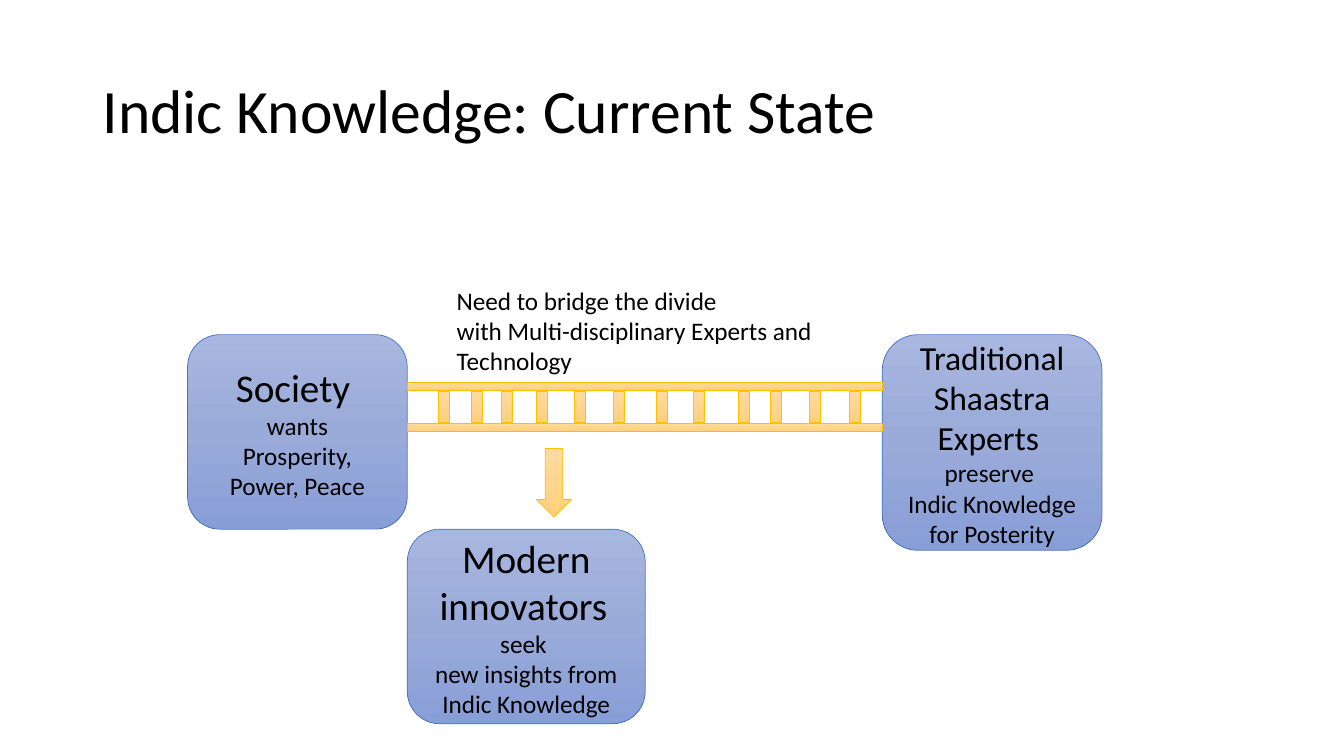
from copy import deepcopy

from pptx import Presentation
from pptx.dml.color import RGBColor
from pptx.enum.shapes import MSO_SHAPE as Preset
from pptx.enum.text import MSO_ANCHOR as Anchor, MSO_AUTO_SIZE as AutoSize, PP_ALIGN as Align
from pptx.oxml.ns import qn
from pptx.util import Inches, Pt

COLORS = {
    "text": "000000",
    "blue": ("A8B7DF", "9AABD9", "889ED7"),
    "blue line": "4472C4",
    "gold": ("FFDB9E", "FFD590", "FFD07C"),
    "gold line": "FFC000",
}
CELL = Inches(0.1)

# Columns and rows of the grid
BRIDGE_LEFT, BRIDGE_WIDTH = 40.4, 47.1
RAIL_ROWS = (37.9, 42)
RUNG_COLUMNS = (43.5, 46.7, 49.7, 53.2, 57, 60.8, 65.1, 68.8, 73.2, 76.4, 80.3, 84.2)

# Area, then paragraphs as lists of (wording, size)
GROUPS = (
    ((18.6, 33.2, 21.8, 19.3),
     [[("Society ", 28)], [("wants", 18)], [("Prosperity, Power, Peace", 18)]]),
    ((87.5, 33.2, 21.8, 21.4),
     [[("Traditional Shaastra Experts ", 24)], [("preserve ", 18)],
      [("Indic Knowledge for Posterity", 18)]]),
    ((40.4, 52.5, 23.6, 19.3),
     [[("Modern innovators", 28), (" ", 18)], [("seek ", 18)],
      [("new insights from Indic Knowledge", 18)]]),
)


class Board:
    """Draws on one slide in grid cells, with one shared style."""

    font = "Calibri"

    def __init__(self, deck):
        self.page = deck.slides.add_slide(deck.slide_layouts[6])

    def place(self, area):
        return [round(length * CELL) for length in area]

    def fill_text(self, box, paragraphs, format_values, align=Align.LEFT, spacing=1.0):
        frame = box.text_frame
        for name, value in format_values.items():
            setattr(frame, name, value)
        for index, spans in enumerate(paragraphs):
            para = frame.add_paragraph() if index else frame.paragraphs[0]
            para.alignment, para.line_spacing = align, spacing
            for wording, size in spans:
                for number, line in enumerate(wording.split("\n")):
                    if number:
                        para.add_line_break()
                    span = para.add_run()
                    span.text = line
                    for name, value in {"name": self.font, "size": Pt(size)}.items():
                        setattr(span.font, name, value)
                    span.font.color.rgb = RGBColor.from_string(COLORS["text"])

    def text(self, area, paragraphs, format_values, spacing=1.0):
        box = self.page.shapes.add_textbox(*self.place(area))
        self.fill_text(box, paragraphs, format_values, spacing=spacing)

    def shape(self, preset, area, color):
        shape = self.page.shapes.add_shape(preset, *self.place(area))
        shape.shadow.inherit = False
        shape.line.width = Pt(0.5)
        shape.line.color.rgb = RGBColor.from_string(COLORS[f"{color} line"])
        self.shade(shape, COLORS[color])
        return shape

    def shade(self, shape, shades):
        """Fill from top to bottom with three evenly spaced shades."""
        shape.fill.gradient()
        shape.fill.gradient_angle = 270
        stop_list = shape.element.spPr.find(qn("a:gradFill")).find(qn("a:gsLst"))
        stop_list.insert(1, deepcopy(stop_list[0]))
        for index, (stop, shade) in enumerate(zip(shape.fill.gradient_stops, shades)):
            stop.position = index / 2
            stop.color.rgb = RGBColor.from_string(shade)

    def group(self, area, paragraphs):
        box = self.shape(Preset.ROUNDED_RECTANGLE, area, "blue")
        self.fill_text(box, paragraphs,
                       {"word_wrap": True, "vertical_anchor": Anchor.MIDDLE}, Align.CENTER)

    def bridge(self):
        for row in RAIL_ROWS:
            self.shape(Preset.RECTANGLE, (BRIDGE_LEFT, row, BRIDGE_WIDTH, 0.8), "gold")
        for column in RUNG_COLUMNS:
            self.shape(Preset.RECTANGLE, (column, 38.8, 1.1, 3.1), "gold")


def main():
    deck = Presentation()
    deck.slide_width, deck.slide_height = Inches(13.33), Inches(7.5)
    board = Board(deck)
    board.text((9.2, 4, 115, 14.5), [[("Indic Knowledge: Current State", 44)]],
               {"word_wrap": True, "vertical_anchor": Anchor.MIDDLE}, spacing=0.9)
    for area, paragraphs in GROUPS:
        board.group(area, paragraphs)
    board.bridge()
    board.text((44.3, 27.8, 38.2, 10.1),
               [[("Need to bridge the divide", 18)],
                [("with Multi-disciplinary Experts and \nTechnology", 18)]],
               {"word_wrap": False, "auto_size": AutoSize.SHAPE_TO_FIT_TEXT})
    board.shape(Preset.DOWN_ARROW, (53.2, 44.5, 3.5, 6.8), "gold")
    deck.save("out.pptx")


if __name__ == "__main__":
    main()
